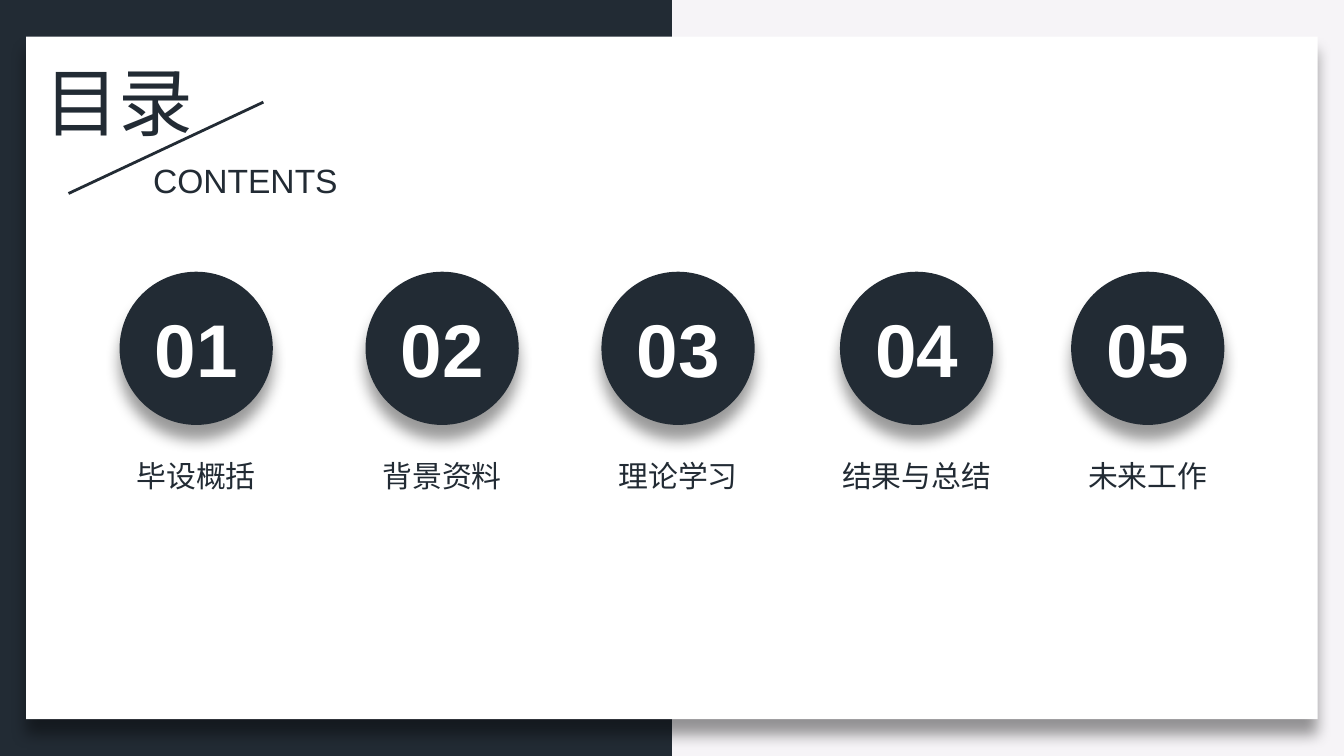
from lxml import etree
from pptx import Presentation, util as u
from pptx.dml.color import RGBColor
from pptx.enum import shapes, text
from pptx.oxml import ns

NAVY, PALE, WHITE = "222B34", "F6F4F7", "FFFFFF"
COLUMNS, ROWS = 100, 56.25
CELL = u.Inches(0.1)
CJK = "Noto Sans CJK SC"


def colour(value):
    """Turn a hex string into a colour."""
    return RGBColor.from_string(value)


def cells(*counts):
    """Turn counts of grid cells into lengths."""
    return [round(count * CELL) for count in counts]


def add_child(parent, tag, **attributes):
    """Append a DrawingML element to its parent."""
    return etree.SubElement(parent, ns.qn(tag), attributes)


def write(frame, content, size, font, ink=NAVY, bold=False, align="LEFT"):
    """Write one formatted line into a text frame."""
    frame.word_wrap = False
    frame.auto_size = text.MSO_AUTO_SIZE.SHAPE_TO_FIT_TEXT
    line = frame.paragraphs[0]
    line.alignment = getattr(text.PP_ALIGN, align)
    run = line.add_run()
    run.text = content
    run.font.size, run.font.bold, run.font.name = u.Pt(size), bold, font
    run.font.color.rgb = colour(ink)
    add_child(run.font._element, "a:ea", typeface=CJK)


class Deck:
    """Holds the presentation, its style and the current slide."""

    def __init__(self, background):
        """Start a deck with one blank slide."""
        self.file = Presentation()
        self.file.slide_width, self.file.slide_height = cells(COLUMNS, ROWS)
        self.slide = self.file.slides.add_slide(self.file.slide_layouts[6])
        fill = self.slide.background.fill
        fill.solid()
        fill.fore_color.rgb = colour(background)

    def shape(self, kind, left, top, width, height, fill, shadow=False):
        """Add a borderless shape, with a soft shadow below if wanted."""
        item = self.slide.shapes.add_shape(
            getattr(shapes.MSO_SHAPE, kind), *cells(left, top, width, height))
        item.fill.solid()
        item.fill.fore_color.rgb = colour(fill)
        item.line.fill.background()
        item.shadow.inherit = False
        if shadow:
            effects = item._element.spPr.find(ns.qn("a:effectLst"))
            outer = add_child(effects, "a:outerShdw", blurRad=str(u.Pt(8)),
                              dist=str(u.Pt(8)), dir="5400000", algn="t",
                              rotWithShape="0")
            black = add_child(outer, "a:srgbClr", val="000000")
            add_child(black, "a:alpha", val="40000")

    def label(self, content, left, top, width, height, **style):
        """Add a line of text."""
        box = self.slide.shapes.add_textbox(*cells(left, top, width, height))
        write(box.text_frame, content, **style)

    def line(self, x1, y1, x2, y2, ink, weight):
        """Add a straight line."""
        item = self.slide.shapes.add_connector(
            shapes.MSO_CONNECTOR.STRAIGHT, *cells(x1, y1, x2, y2))
        item.line.color.rgb = colour(ink)
        item.line.width = u.Pt(weight)
        add_child(item._element.spPr, "a:effectLst")


deck = Deck(PALE)
deck.shape("RECTANGLE", 0, 0, COLUMNS / 2, ROWS, NAVY)
deck.shape("RECTANGLE", 1.95, 2.72, 96.1, 50.8, WHITE, shadow=True)

deck.label("目录", 2.3, 3.7, 13.2, 7.7, size=40, font="Calibri")
deck.line(19.6, 7.6, 5.1, 14.4, NAVY, 1.5)
deck.label("CONTENTS", 10.4, 11.4, 15.9, 4, size=18, font="Arial")

DISC, NUMBER_WIDTH, CHAPTER_WIDTH = 11.4, 8.3, 13.2
chapters = [("毕设概括", 14.6), ("背景资料", 32.9), ("理论学习", 50.45),
            ("结果与总结", 68.2), ("未来工作", 85.4)]
for number, (chapter, centre) in enumerate(chapters, 1):
    deck.shape("OVAL", centre - DISC / 2, 20.22, DISC, DISC, NAVY, shadow=True)
    deck.label(chapter, centre - CHAPTER_WIDTH / 2, 33.6, CHAPTER_WIDTH, 3.7,
               size=16, font=CJK, align="CENTER")
    deck.label(f"{number:02}", centre - NUMBER_WIDTH / 2, 22.05, NUMBER_WIDTH,
               7.7, size=40, font="Arial", ink=WHITE, bold=True, align="CENTER")

deck.file.save("out.pptx")
